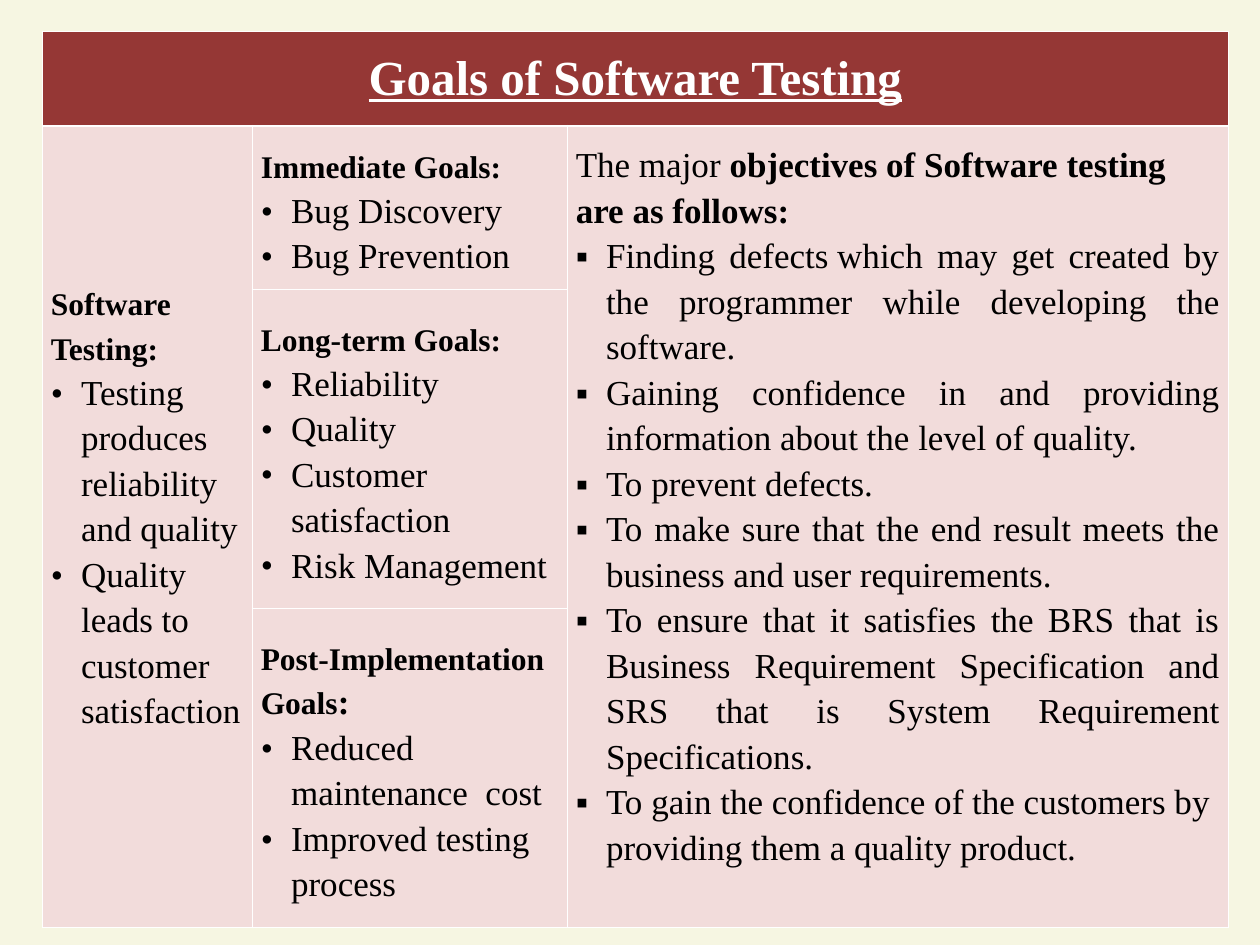
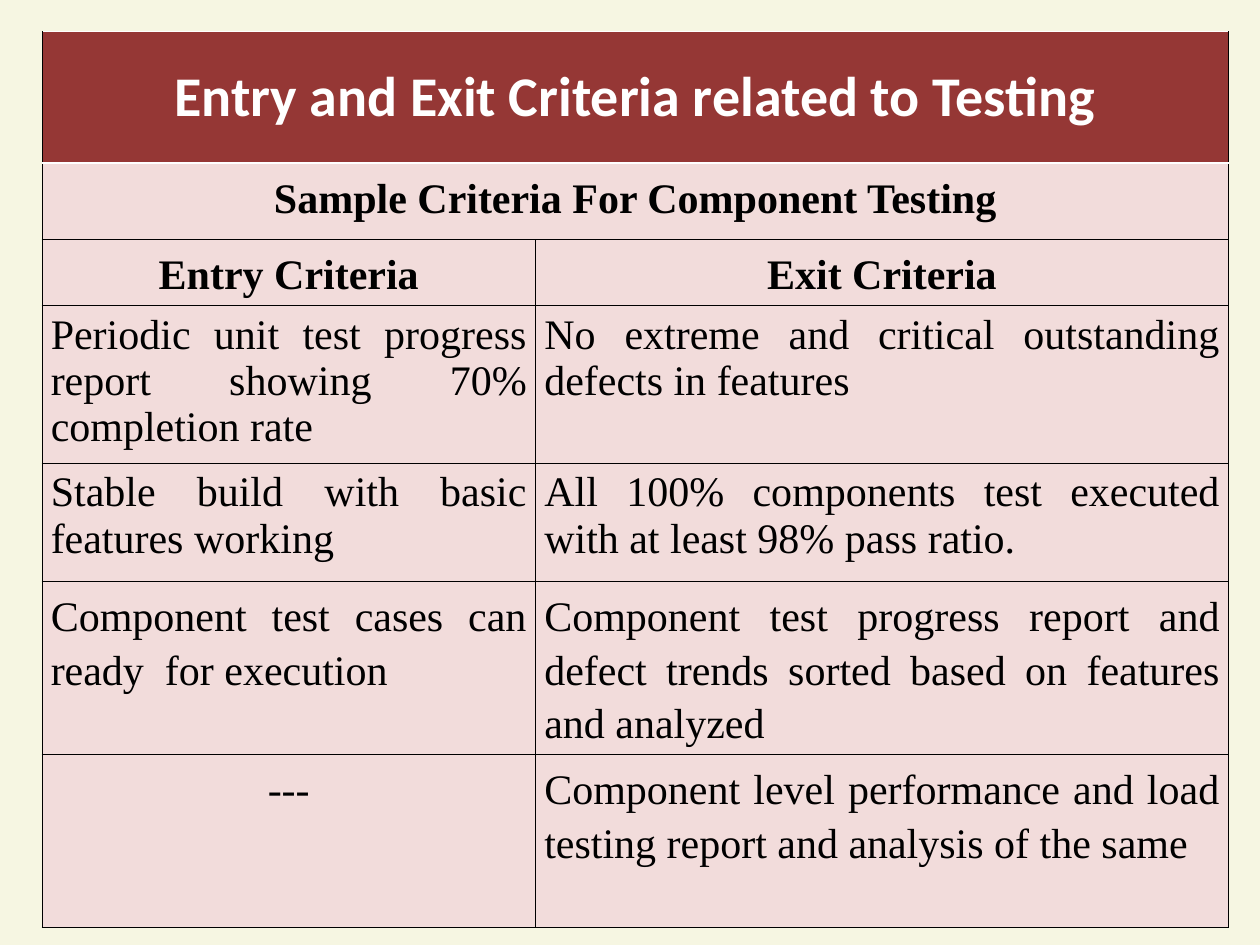
from dataclasses import dataclass
from typing import NamedTuple

from lxml.etree import SubElement
from pptx import Presentation
from pptx.dml.color import RGBColor
from pptx.enum.text import MSO_ANCHOR as Anchor, PP_ALIGN as Align
from pptx.oxml.ns import qn
from pptx.util import Emu, Inches, Pt

CREAM = RGBColor(0xF6, 0xF6, 0xE2)
BRICK = RGBColor(0x95, 0x37, 0x35)
ROSE = RGBColor(0xF2, 0xDC, 0xDB)
WHITE = RGBColor(0xFF, 0xFF, 0xFF)
BLACK = RGBColor(0x00, 0x00, 0x00)

SERIF, SANS = "Times New Roman", "Calibri"
UNIT = Inches(1) / 12  # grid step for every column and row
LEFT, TOP = 4, 3
THIN, THICK = 0.45, 1.47
PAD = 0.05
HANG = Inches(0.24)
LEAD = Pt(26)
DOT, SQUARE = "•", "▪"


class Run(NamedTuple):
    text: str
    size: float = 20
    bold: bool = False
    under: bool = False
    font: str = SERIF
    color: RGBColor = BLACK


class Para(NamedTuple):
    runs: list[Run]
    align: Align = Align.LEFT
    lead: float | Emu = 1.0
    mark: str = ""


@dataclass
class Box:
    """A cell's text, with its place and span in the table."""
    row: int
    col: int
    paras: list[Para]
    rows: int = 1
    cols: int = 1
    anchor: Anchor = Anchor.TOP
    side: float = 0.07
    foot: float = PAD


@dataclass
class Grid:
    cols: list[float]
    rows: list[float]
    line: RGBColor
    boxes: list[Box]


def span(count: float) -> Emu:
    return Emu(round(count * UNIT))


def title(run: Run, cols: int) -> Box:
    return Box(0, 0, [Para([run], Align.CENTER)], cols=cols,
               anchor=Anchor.MIDDLE, side=0.13)


def head(text: str, *more: Run) -> Para:
    return Para([Run(text, 18, True), *more], lead=LEAD)


def item(text: str, mark: str = DOT, align: Align = Align.LEFT) -> Para:
    return Para([Run(text)], align, LEAD, mark)


def goals(row: int, col: int, first: Para, items: list[str], **more) -> Box:
    return Box(row, col, [first, *map(item, items)],
               anchor=Anchor.MIDDLE, **more)


def plain(row: int, col: int, text: str, align: Align = Align.JUSTIFY,
          lead: float = 1.0, bold: bool = False, cols: int = 1) -> Box:
    return Box(row, col, [Para([Run(text, 24, bold)], align, lead)], cols=cols)


def edge(cell, side: str, color: RGBColor, width: float) -> None:
    line = SubElement(cell._tc.get_or_add_tcPr(), qn(f"a:ln{side}"),
                      w=str(Pt(width)))
    fill = SubElement(line, qn("a:solidFill"))
    SubElement(fill, qn("a:srgbClr"), val=str(color))


def paint(cell, row: int, line: RGBColor) -> None:
    """Give a cell its borders and fill; the title row ends in a thick rule."""
    edges = {side: (line, THIN) for side in "LRTB"}
    if row == 0:
        edges |= {"T": (WHITE, THIN), "B": (WHITE, THICK)}
    elif row == 1:
        edges["T"] = (WHITE, THICK)
    for side, (color, width) in edges.items():
        edge(cell, side, color, width)
    cell.fill.solid()
    cell.fill.fore_color.rgb = BRICK if row == 0 else ROSE


def write(para, data: Para) -> None:
    para.alignment = data.align
    para.line_spacing = data.lead
    if data.mark:
        props = para._p.get_or_add_pPr()
        props.set("marL", str(HANG))
        props.set("indent", str(-HANG))
        SubElement(props, qn("a:buFont"), typeface=SERIF)
        SubElement(props, qn("a:buChar"), char=data.mark)
    for part in data.runs:
        run = para.add_run()
        run.text = part.text
        font = run.font
        font.name, font.size = part.font, Pt(part.size)
        font.bold, font.underline = part.bold, part.under
        font.color.rgb = part.color


def put(table, box: Box) -> None:
    cell = table.cell(box.row, box.col)
    if box.rows * box.cols > 1:
        cell.merge(table.cell(box.row + box.rows - 1, box.col + box.cols - 1))
    cell.vertical_anchor = box.anchor
    cell.margin_left = cell.margin_right = Inches(box.side)
    cell.margin_top, cell.margin_bottom = Inches(PAD), Inches(box.foot)
    frame = cell.text_frame
    for num, data in enumerate(box.paras):
        write(frame.add_paragraph() if num else frame.paragraphs[0], data)


def draw(deck, grid: Grid) -> None:
    slide = deck.slides.add_slide(deck.slide_layouts[6])
    slide.background.fill.solid()
    slide.background.fill.fore_color.rgb = CREAM
    table = slide.shapes.add_table(
        len(grid.rows), len(grid.cols), span(LEFT), span(TOP),
        span(sum(grid.cols)), span(sum(grid.rows))).table
    table.first_row = table.horz_banding = False
    for col, width in zip(table.columns, grid.cols):
        col.width = span(width)
    for num, (row, height) in enumerate(zip(table.rows, grid.rows)):
        row.height = span(height)
        for cell in row.cells:
            paint(cell, num, grid.line)
    for box in grid.boxes:
        put(table, box)


AIMS = [
    "Finding defects\u00a0which may get created by the programmer while "
    "developing the software.",
    "Gaining confidence in and providing information about the level of "
    "quality.",
    "To prevent defects.",
    "To make sure that the end result meets the business and user "
    "requirements.",
    "To ensure that it satisfies the BRS that is Business Requirement "
    "Specification and SRS that is System Requirement Specifications.",
]
LAST = ("To gain the confidence of the customers by providing them a "
        "quality product.")
DEEP = PAD + LEAD.inches  # lifts centred text by half a line

GOALS = Grid([20, 30, 63], [9, 15.6, 30.35, 30.35], WHITE, [
    title(Run("Goals of Software Testing", 28, True, True, color=WHITE), 3),
    goals(1, 0, head("Software Testing:"),
          ["Testing produces reliability and quality",
           "Quality leads to customer satisfaction"], rows=3, foot=DEEP),
    goals(1, 1, head("Immediate Goals:"), ["Bug Discovery", "Bug Prevention"]),
    goals(2, 1, head("Long-term Goals:"),
          ["Reliability", "Quality", "Customer satisfaction",
           "Risk Management"]),
    goals(3, 1, head("Post-Implementation Goals", Run(":", bold=True)),
          ["Reduced maintenance  cost", "Improved testing process"]),
    Box(1, 2, [
        Para([Run("The major "),
              Run("objectives of Software testing are as follows:",
                  bold=True)], lead=LEAD),
        *(item(aim, SQUARE, Align.JUSTIFY) for aim in AIMS),
        item(LAST, SQUARE),
    ], rows=3, anchor=Anchor.MIDDLE, foot=DEEP),
])

# Line spacing, entry criterion, exit criterion
PAIRS = [
    (1.0, "Periodic unit test progress report showing 70% completion rate",
     "No extreme and critical outstanding defects in features"),
    (1.0, "Stable build with basic features working",
     "All 100% components test executed with at least 98% pass ratio."),
    (1.15, "Component test cases can ready  for execution",
     "Component test progress report and defect trends sorted based on "
     "features and analyzed"),
    (1.15, "---",
     "Component level performance and load testing report and analysis of "
     "the same"),
]
HEADS = [(1, 0, "Sample Criteria For Component Testing", 2),
         (2, 0, "Entry Criteria", 1), (2, 1, "Exit Criteria", 1)]

CRITERIA = Grid([47, 66], [12.5, 7.3, 6.25, 15, 11.25, 16.5, 16.5], BLACK, [
    title(Run("Entry and Exit Criteria related to Testing", 32, True,
              font=SANS, color=WHITE), 2),
    *(plain(row, col, text, Align.CENTER, 1.15, True, cols)
      for row, col, text, cols in HEADS),
    *(plain(row, col, text,
            Align.CENTER if text == "---" else Align.JUSTIFY, lead)
      for row, (lead, *texts) in enumerate(PAIRS, 3)
      for col, text in enumerate(texts)),
])


def main() -> None:
    deck = Presentation()
    deck.slide_width, deck.slide_height = Inches(10), Inches(7.5)
    for grid in (GOALS, CRITERIA):
        draw(deck, grid)
    deck.save("out.pptx")


if __name__ == "__main__":
    main()
